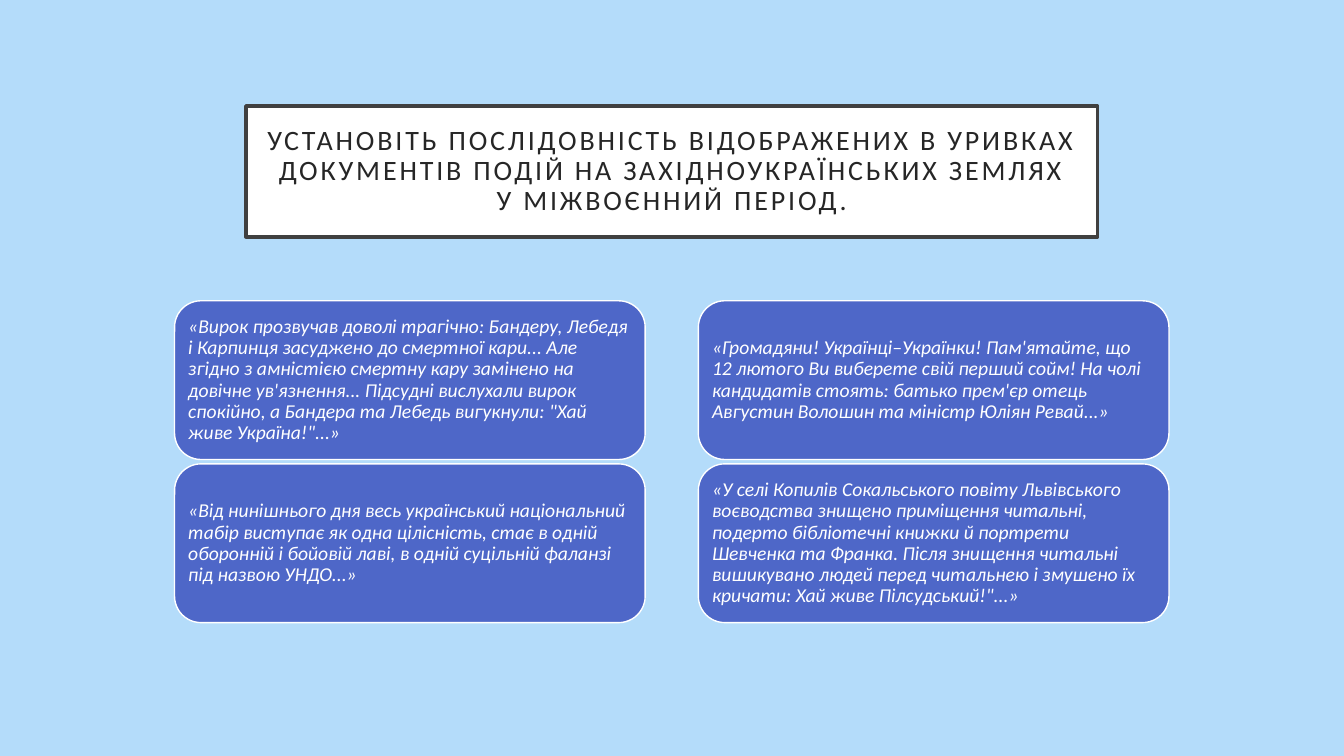
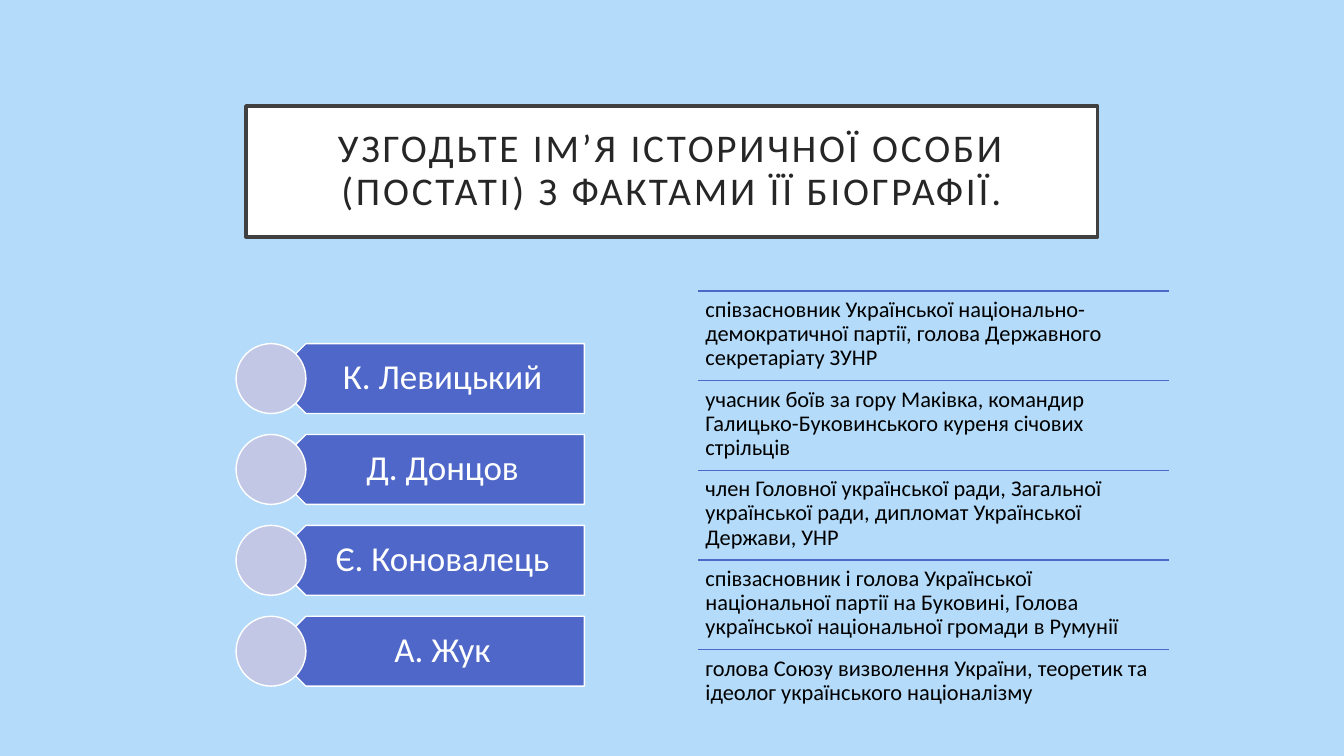
from lxml import etree
from pptx import Presentation
from pptx.dml.color import RGBColor
from pptx.enum.shapes import MSO_CONNECTOR, MSO_SHAPE
from pptx.enum.text import MSO_ANCHOR, MSO_AUTO_SIZE, PP_ALIGN
from pptx.oxml.ns import qn
from pptx.util import Cm, Pt

LEFT, CENTER = PP_ALIGN.LEFT, PP_ALIGN.CENTER
TOP, MIDDLE = MSO_ANCHOR.TOP, MSO_ANCHOR.MIDDLE
CARD, PLATE, CIRCLE = MSO_SHAPE.ROUNDED_RECTANGLE, MSO_SHAPE.PENTAGON, MSO_SHAPE.OVAL
STRAIGHT = MSO_CONNECTOR.STRAIGHT

FONT = "Calibri"
SKY, BLUE, LILAC = "B4DCFA", "4E67C8", "C2C7E6"
WHITE, BLACK, INK, FRAME = "FFFFFF", "000000", "262626", "404040"

# Content
EXCERPTS_TITLE = (
    "УСТАНОВІТЬ ПОСЛІДОВНІСТЬ ВІДОБРАЖЕНИХ В УРИВКАХ ДОКУМЕНТІВ ПОДІЙ "
    "НА ЗАХІДНОУКРАЇНСЬКИХ ЗЕМЛЯХ У МІЖВОЄННИЙ ПЕРІОД."
)
EXCERPT_COLUMNS = [
    [
        "«Вирок прозвучав доволі трагічно: Бандеру, Лебедя і Карпинця засуджено "
        "до смертної кари... Але згідно з амністією смертну кару замінено на "
        "довічне ув'язнення... Підсудні вислухали вирок спокійно, а Бандера та "
        "Лебедь вигукнули: \"Хай живе Україна!\"...»",
        "«Від нинішнього дня весь український національний табір виступає як "
        "одна цілісність, стає в одній оборонній і бойовій лаві, в одній "
        "суцільній фаланзі під назвою УНДО...»",
    ],
    [
        "«Громадяни! Українці–Українки! Пам'ятайте, що 12 лютого Ви виберете "
        "свій перший сойм! На чолі кандидатів стоять: батько прем'єр отець "
        "Августин Волошин та міністр Юліян Ревай...»",
        "«У селі Копилів Сокальського повіту Львівського воєводства знищено "
        "приміщення читальні, подерто бібліотечні книжки й портрети Шевченка та "
        "Франка. Після знищення читальні вишикувано людей перед читальнею і "
        "змушено їх кричати: Хай живе Пілсудський!\"...»",
    ],
]
PEOPLE_TITLE = "УЗГОДЬТЕ ІМ’Я ІСТОРИЧНОЇ ОСОБИ (ПОСТАТІ) З ФАКТАМИ ЇЇ БІОГРАФІЇ."
PEOPLE = ["К. Левицький", "Д. Донцов", "Є. Коновалець", "А. Жук"]
FACTS = [
    "співзасновник Української національно-демократичної партії, голова "
    "Державного секретаріату ЗУНР",
    "учасник боїв за гору Маківка, командир Галицько-Буковинського куреня "
    "січових стрільців",
    "член Головної української ради, Загальної української ради, дипломат "
    "Української Держави, УНР",
    "співзасновник і голова Української національної партії на Буковині, "
    "Голова української національної громади в Румунії",
    "голова Союзу визволення України, теоретик та ідеолог українського "
    "націоналізму",
]

# Layout in centimetres
COLUMN_LEFTS, COLUMN_W = (4.4, 17.6), 11.86
CARD_TOP, CARD_H, CARD_STEP = 7.58, 4.0, 4.11
PLATE_LEFT, PLATE_W, CIRCLE_LEFT = 6.83, 7.9, 5.95
PERSON_TOP, PERSON_H, PERSON_STEP = 8.66, 1.76, 2.29
FACT_TOP, FACT_STEP = 7.33, 2.26


def rgb(color):
    return RGBColor.from_string(color)


def paint(sp, fill, line, width):
    sp.fill.solid()
    sp.fill.fore_color.rgb = rgb(fill)
    sp.line.color.rgb = rgb(line)
    sp.line.width = Pt(width)


def set_frame(tf, insets, anchor=MIDDLE):
    tf.word_wrap = True
    tf.auto_size = MSO_AUTO_SIZE.NONE
    tf.vertical_anchor = anchor
    tf.margin_left, tf.margin_top, tf.margin_right, tf.margin_bottom = map(Cm, insets)


def write(tf, text, size, color, align=LEFT, italic=False):
    tf.text = text
    p = tf.paragraphs[0]
    p.alignment = align
    p.line_spacing = 0.9
    p.font.name, p.font.size, p.font.italic = FONT, Pt(size), italic
    p.font.color.rgb = rgb(color)


def add_block(s, kind, box, fill):
    sp = s.shapes.add_shape(kind, *map(Cm, box))
    sp.shadow.inherit = False
    paint(sp, fill, WHITE, 1)
    return sp


def add_rule(s, left, top, width):
    rule = s.shapes.add_connector(STRAIGHT, Cm(left), Cm(top), Cm(left + width), Cm(top))
    rule.line.color.rgb = rgb(BLUE)
    rule.line.width = Pt(1)
    etree.SubElement(rule.element.spPr, qn("a:effectLst"))


def style_template(prs):
    """Set the background and framed title shared by the slides."""
    bg = prs.slide_master.background.fill
    bg.solid()
    bg.fore_color.rgb = rgb(SKY)
    layout = prs.slide_layouts.get_by_name("Title Only")
    title = next(ph for ph in layout.placeholders if ph.placeholder_format.idx == 0)
    title.left, title.top, title.width, title.height = map(Cm, (6.2, 2.67, 21.46, 3.3))
    paint(title, WHITE, FRAME, 2.5)
    set_frame(title.text_frame, [0.51] * 4)
    # Letter spacing of 2 pt
    styles = title.element.txBody.find(qn("a:lstStyle"))
    styles.clear()
    level = etree.SubElement(styles, qn("a:lvl1pPr"))
    etree.SubElement(level, qn("a:defRPr"), spc="200")
    return layout


def add_slide(prs, layout, title, size):
    s = prs.slides.add_slide(layout)
    write(s.shapes.title.text_frame, title, size, INK, CENTER)
    return s


def add_excerpts(s):
    for left, excerpts in zip(COLUMN_LEFTS, EXCERPT_COLUMNS):
        for row, text in enumerate(excerpts):
            box = (left, CARD_TOP + row * CARD_STEP, COLUMN_W, CARD_H)
            card = add_block(s, CARD, box, BLUE)
            set_frame(card.text_frame, [0.15] * 4)
            write(card.text_frame, text, 14, WHITE, italic=True)


def add_people(s):
    for row, name in enumerate(PEOPLE):
        top = PERSON_TOP + row * PERSON_STEP
        plate = add_block(s, PLATE, (PLATE_LEFT, top, PLATE_W, PERSON_H), BLUE)
        plate.element.spPr.xfrm.set("flipH", "1")  # point to the left
        set_frame(plate.text_frame, (0.79, 0.25, 0.48, 0.25))
        write(plate.text_frame, name, 25, WHITE, CENTER)
        add_block(s, CIRCLE, (CIRCLE_LEFT, top, PERSON_H, PERSON_H), LILAC)


def add_facts(s):
    left = COLUMN_LEFTS[1]
    for row, text in enumerate(FACTS):
        top = FACT_TOP + row * FACT_STEP
        add_rule(s, left, top, COLUMN_W)
        tf = s.shapes.add_textbox(*map(Cm, (left, top, COLUMN_W, FACT_STEP))).text_frame
        set_frame(tf, [0.18] * 4, TOP)
        write(tf, text, 16, BLACK)


def main():
    prs = Presentation()
    prs.slide_width, prs.slide_height = Cm(33.87), Cm(19.05)
    layout = style_template(prs)
    add_excerpts(add_slide(prs, layout, EXCERPTS_TITLE, 20))
    s = add_slide(prs, layout, PEOPLE_TITLE, 28)
    add_people(s)
    add_facts(s)
    prs.save("out.pptx")


if __name__ == "__main__":
    main()
